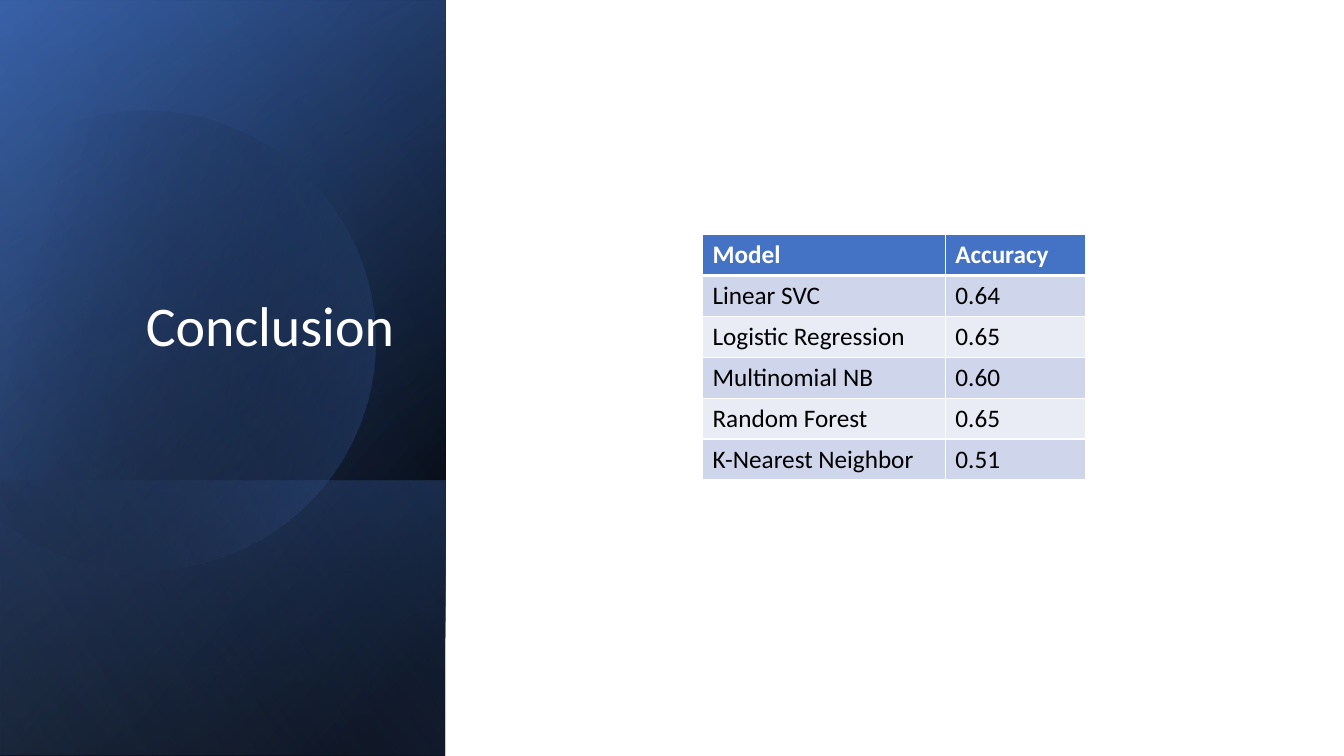
from dataclasses import dataclass
from math import cos, radians, sin, tan

from pptx import Presentation, util as u
from pptx.dml.color import RGBColor
from pptx.enum import shapes, text
from pptx.oxml import parse_xml
from pptx.oxml.ns import nsdecls

Pt = u.Pt
FONT = "Calibri"
WHITE, BLACK, BLUE = "FFFFFF", "000000", "4472C4"
BANDS = "CFD5EA", "E9EBF5"


@dataclass
class Stop:
    pos: int
    color: str
    alpha: int = 100


@dataclass
class Blend:
    start: Stop
    end: Stop
    angle: int


@dataclass
class Panel:
    left: float
    top: float
    width: float
    height: float
    blend: Blend


BACK = [
    Panel(-110.9, 110.9, 540, 318.2,
          Blend(Stop(8, BLACK), Stop(100, "2F5597"), 50)),
    Panel(-110.9, 111.6, 540, 318.2,
          Blend(Stop(0, BLACK, 0), Stop(99, BLUE, 46), 30)),
    Panel(60.5, 282.6, 197.3, 318.2,
          Blend(Stop(2, BLUE, 29), Stop(100, BLACK, 30), 130)),
]
GLOW = Panel(-110.9, 110.2, 540, 318.2,
             Blend(Stop(0, BLACK, 0), Stop(99, "8FAADC", 11), 120))
DISC = Blend(Stop(29, BLACK, 0), Stop(100, BLUE, 43), 30)

ROWS = [
    ("Model", "Accuracy"),
    ("Linear SVC", "0.64"),
    ("Logistic Regression", "0.65"),
    ("Multinomial NB", "0.60"),
    ("Random Forest", "0.65"),
    ("K-Nearest Neighbor", "0.51"),
]
COLS = 173.5, 100.1
ROW = 29.2


def rgb(code: str) -> RGBColor:
    return RGBColor.from_string(code)


def paint(shape, blend: Blend) -> None:
    """Fill with a two-stop gradient whose angle runs clockwise."""
    shape.shadow.inherit = False
    shape.line.fill.background()
    fill = shape.fill
    fill.gradient()
    fill.gradient_angle = 360 - blend.angle
    for stop, data in zip(fill.gradient_stops, (blend.start, blend.end)):
        stop.position = data.pos / 100
        stop.color.rgb = rgb(data.color)
    tints = shape._element.xpath("./p:spPr/a:gradFill//a:srgbClr")
    for tint, data in zip(tints, (blend.start, blend.end)):
        if data.alpha < 100:
            tint.append(parse_xml(
                f'<a:alpha {nsdecls("a")} val="{data.alpha * 1000}"/>'))


def add_panel(slide, panel: Panel) -> None:
    """Add a rectangle mirrored and turned by a quarter."""
    shape = slide.shapes.add_shape(
        shapes.MSO_SHAPE.RECTANGLE, Pt(panel.left), Pt(panel.top),
        Pt(panel.width), Pt(panel.height))
    shape.rotation = 90
    shape._element.spPr.xfrm.set("flipH", "1")
    paint(shape, panel.blend)


def add_disc(slide) -> None:
    """Add a circle cut by a chord on its left side."""
    x, y, radius = 103, 240.3, 164.5
    turns = [radians(a) for a in (-118, -90, 0, 90, 150)]
    rim = [(Pt(x + radius * cos(a)), Pt(y + radius * sin(a))) for a in turns]
    path = slide.shapes.build_freeform(*rim[0])
    path.add_line_segments(rim[1:], close=True)
    disc = path.convert_to_shape()
    lines = disc._element.xpath(".//a:path/a:lnTo")
    for line, a, b, p, q in zip(lines, turns, turns[1:], rim, rim[1:]):
        pull = Pt(radius * 4 / 3 * tan((b - a) / 4))
        ends = [(p[0] - pull * sin(a), p[1] + pull * cos(a)),
                (q[0] + pull * sin(b), q[1] - pull * cos(b)), q]
        dots = "".join(
            f'<a:pt x="{round(h - disc.left)}" y="{round(v - disc.top)}"/>'
            for h, v in ends)
        line.getparent().replace(line, parse_xml(
            f'<a:cubicBezTo {nsdecls("a")}>{dots}</a:cubicBezTo>'))
    disc.rotation = 343.9
    paint(disc, DISC)


def style(para, size: float, color: str, bold: bool = False) -> None:
    for run in para.runs:
        font = run.font
        font.name, font.size, font.bold = FONT, Pt(size), bold
        font.color.rgb = rgb(color)


def set_title(slide) -> None:
    title = slide.shapes.title
    slide.shapes._spTree.append(title._element)
    title.left, title.top = Pt(36.7), Pt(46.1)
    title.width, title.height = Pt(252), Pt(266.4)
    frame = title.text_frame
    frame.text = "Conclusion"
    frame.word_wrap = True
    frame.auto_size = text.MSO_AUTO_SIZE.NONE
    frame.vertical_anchor = text.MSO_ANCHOR.BOTTOM
    para = frame.paragraphs[0]
    para.add_line_break()
    para.alignment = text.PP_ALIGN.RIGHT
    para.line_spacing = 0.9
    style(para, 40, WHITE)


def underline(cell) -> None:
    """Draw the thick white rule below a header cell."""
    cell._tc.get_or_add_tcPr().insert(0, parse_xml(
        f'<a:lnB {nsdecls("a")} w="{Pt(3)}"><a:solidFill>'
        f'<a:srgbClr val="{WHITE}"/></a:solidFill></a:lnB>'))


def add_scores(slide) -> None:
    table = slide.shapes.add_table(
        len(ROWS), len(COLS), Pt(501.8), Pt(167.6),
        Pt(sum(COLS)), Pt(ROW * len(ROWS))).table
    for col, width in zip(table.columns, COLS):
        col.width = Pt(width)
    for i, row in enumerate(ROWS):
        head = i == 0
        for j, word in enumerate(row):
            cell = table.cell(i, j)
            cell.text_frame.text = word
            cell.fill.solid()
            cell.fill.fore_color.rgb = rgb(BLUE if head else BANDS[(i - 1) % 2])
            style(cell.text_frame.paragraphs[0], 18,
                  WHITE if head else BLACK, head)
            if head:
                underline(cell)


def main() -> None:
    deck = Presentation()
    deck.slide_width, deck.slide_height = Pt(960), Pt(540)
    slide = deck.slides.add_slide(deck.slide_layouts[5])
    for panel in BACK:
        add_panel(slide, panel)
    add_disc(slide)
    add_panel(slide, GLOW)
    set_title(slide)
    add_scores(slide)
    deck.save("out.pptx")


if __name__ == "__main__":
    main()
